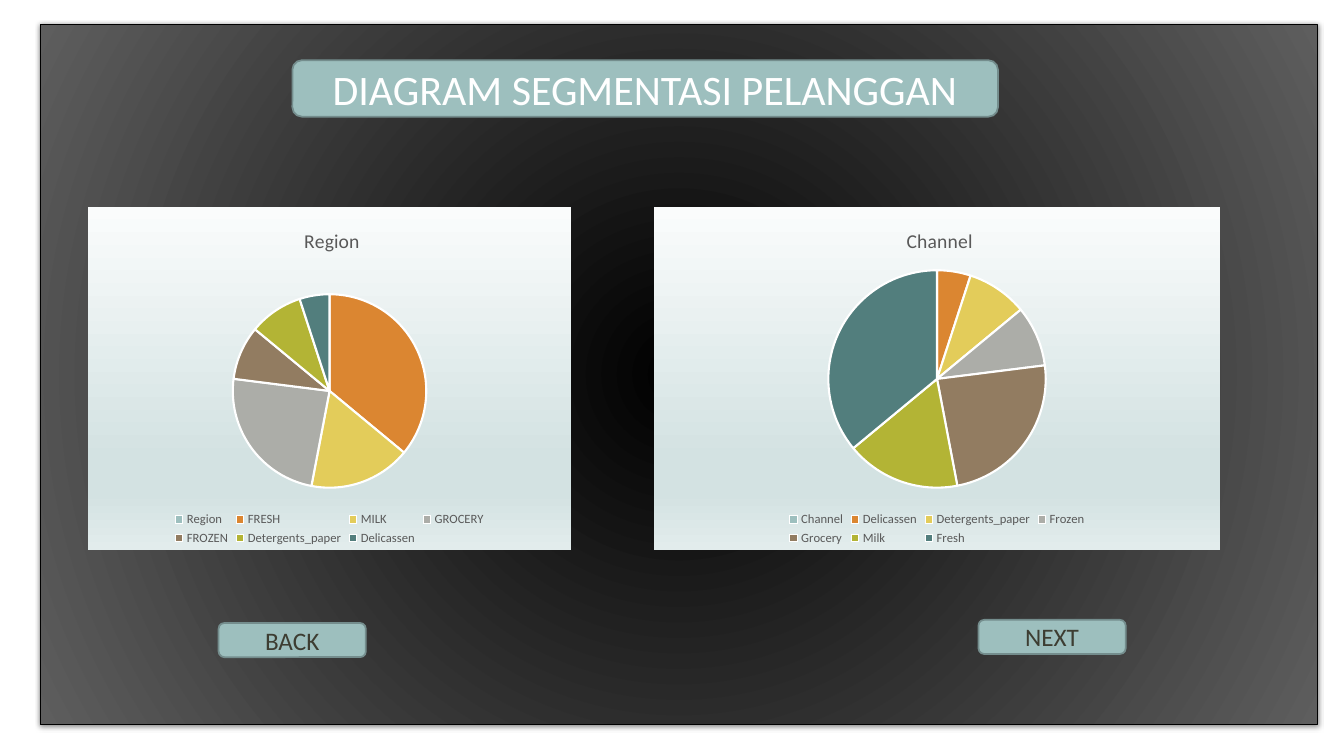
from lxml import etree
from pptx import Presentation
from pptx.chart.data import CategoryChartData
from pptx.dml.color import RGBColor
from pptx.enum.chart import XL_CHART_TYPE, XL_LEGEND_POSITION
from pptx.enum.shapes import MSO_SHAPE
from pptx.enum.text import MSO_ANCHOR, MSO_AUTO_SIZE, PP_ALIGN
from pptx.oxml import parse_xml
from pptx.oxml.ns import qn
from pptx.util import Cm, Pt

PIE = XL_CHART_TYPE.PIE
BOTTOM = XL_LEGEND_POSITION.BOTTOM
RECT = MSO_SHAPE.RECTANGLE
ROUND = MSO_SHAPE.ROUNDED_RECTANGLE
MIDDLE = MSO_ANCHOR.MIDDLE
NO_FIT = MSO_AUTO_SIZE.NONE
CENTER = PP_ALIGN.CENTER

FONT = "Calibri"
COLORS = {
    "black": "000000", "white": "FFFFFF", "ash": "5E5E5E",
    "teal": "9DBFBE", "edge": "748D8D", "ink": "3D3D32", "grey": "595959",
    "pale": "FAFCFC", "mist": "D3E2E2", "haze": "E2ECEC",
}
SLICES = ["9DBFBE", "DB8631", "E3CC5A", "ACADA8", "927C61", "B3B435", "527E7D"]
DRAW = 'xmlns:a="http://schemas.openxmlformats.org/drawingml/2006/main"'
HIGH = 8.64
BASE = 0.82


def rgb(name):
    return RGBColor.from_string(COLORS[name])


def style(font, size, color):
    font.name = FONT
    font.size = Pt(size)
    font.bold = False
    font.color.rgb = rgb(color)


def blend(stops, shade):
    marks = "".join(
        f'<a:gs pos="{pos * 1000}"><a:srgbClr val="{COLORS[name]}"/></a:gs>'
        for pos, name in stops)
    return parse_xml(f'<a:gradFill {DRAW} rotWithShape="1">'
                     f'<a:gsLst>{marks}</a:gsLst>{shade}</a:gradFill>')


def add_box(slide, kind, box, edge, width):
    shape = slide.shapes.add_shape(kind, *map(Cm, box))
    shape.shadow.inherit = False
    shape.line.color.rgb = rgb(edge)
    shape.line.width = Pt(width)
    return shape


def add_frame(slide):
    frame = add_box(slide, RECT, (1.02, 0.61, 32.18, 17.65), "black", 0.75)
    props = frame._element.spPr
    shade = ('<a:path path="circle"><a:fillToRect l="50000" t="50000" '
             'r="50000" b="50000"/></a:path>')
    props.insert(2, blend([(0, "black"), (100, "ash")], shade))
    props.find(qn("a:effectLst")).append(parse_xml(
        f'<a:outerShdw {DRAW} blurRad="50800" dist="12700" dir="5400000">'
        '<a:srgbClr val="000000"><a:alpha val="50000"/></a:srgbClr>'
        '</a:outerShdw>'))
    return frame


def add_plate(slide, box):
    plate = add_box(slide, ROUND, box, "edge", 1.25)
    plate.fill.solid()
    plate.fill.fore_color.rgb = rgb("teal")
    return plate


def write(shape, text, size, color):
    frame = shape.text_frame
    frame.text = text
    frame.word_wrap = True
    frame.auto_size = NO_FIT
    frame.vertical_anchor = MIDDLE
    frame.margin_top = frame.margin_bottom = 0
    para = frame.paragraphs[0]
    para.alignment = CENTER
    style(para.font, size, color)


def add_title(slide, text, box):
    plate = add_plate(slide, box)
    title = slide.shapes.title
    title.left, title.top, title.width, title.height = map(Cm, box)
    write(title, text, 30, "white")
    plate._element.addnext(title._element)


def place(parent, index, **sides):
    for old in parent.findall(qn("c:layout")):
        parent.remove(old)
    layout = etree.Element(qn("c:layout"))
    manual = etree.SubElement(layout, qn("c:manualLayout"))
    if "w" in sides:
        etree.SubElement(manual, qn("c:layoutTarget"), val="inner")
    for side in "xy":
        etree.SubElement(manual, qn(f"c:{side}Mode"), val="edge")
    for side, value in sides.items():
        etree.SubElement(manual, qn(f"c:{side}"), val=f"{value:.3f}")
    parent.insert(index, layout)


def add_pie(slide, left, wide, size, names, values):
    data = CategoryChartData()
    data.categories = names
    data.add_series("Series 1", values)
    chart = slide.shapes.add_chart(
        PIE, Cm(left), Cm(5.21), Cm(wide), Cm(HIGH), data).chart
    style(chart.font, 10, "black")

    chart.has_title = True
    head = chart.chart_title
    head.text_frame.text = names[0]
    style(head.text_frame.paragraphs[0].font, 14, "grey")
    head.include_in_layout = False
    place(head._element, 1, x=0.44, y=0.05)

    chart.has_legend = True
    chart.legend.position = BOTTOM
    chart.legend.include_in_layout = False
    style(chart.legend.font, 9, "grey")

    plot = chart.plots[0]
    plot.vary_by_categories = True
    for index, color in enumerate(SLICES):
        look = plot.series[0].points[index].format
        look.fill.solid()
        look.fill.fore_color.rgb = RGBColor.from_string(color)
        look.line.color.rgb = rgb("white")
        look.line.width = Pt(1.5)

    share = size * HIGH / wide
    space = chart._chartSpace
    place(space.chart.plotArea, 0,
          x=(1 - share) / 2, y=BASE - size, w=share, h=size)
    props = etree.Element(qn("c:spPr"))
    props.append(blend(
        [(0, "pale"), (74, "mist"), (83, "mist"), (100, "haze")],
        '<a:lin ang="5400000" scaled="1"/>'))
    line = etree.SubElement(props, qn("a:ln"))
    etree.SubElement(line, qn("a:noFill"))
    space.chart.addnext(props)


def main():
    deck = Presentation()
    deck.slide_width = Cm(33.87)
    deck.slide_height = Cm(19.05)
    slide = deck.slides.add_slide(deck.slide_layouts[5])

    add_frame(slide)
    add_title(slide, "DIAGRAM SEGMENTASI PELANGGAN", (7.37, 1.52, 17.78, 1.42))
    add_pie(slide, 2.21, 12.19, 0.565,
            ["Region", "FRESH", "MILK", "GROCERY", "FROZEN",
             "Detergents_paper", "Delicassen"],
            [0, 36, 17, 24, 9, 9, 5])
    add_pie(slide, 16.48, 14.27, 0.635,
            ["Channel", "Delicassen", "Detergents_paper", "Frozen",
             "Grocery", "Milk", "Fresh"],
            [0, 5, 9, 9, 24, 17, 36])
    for text, left, top in [("NEXT", 24.66, 15.62), ("BACK", 5.51, 15.7)]:
        plate = add_plate(slide, (left, top, 3.71, 0.86))
        write(plate, text, 18, "ink")

    deck.save("out.pptx")


if __name__ == "__main__":
    main()
